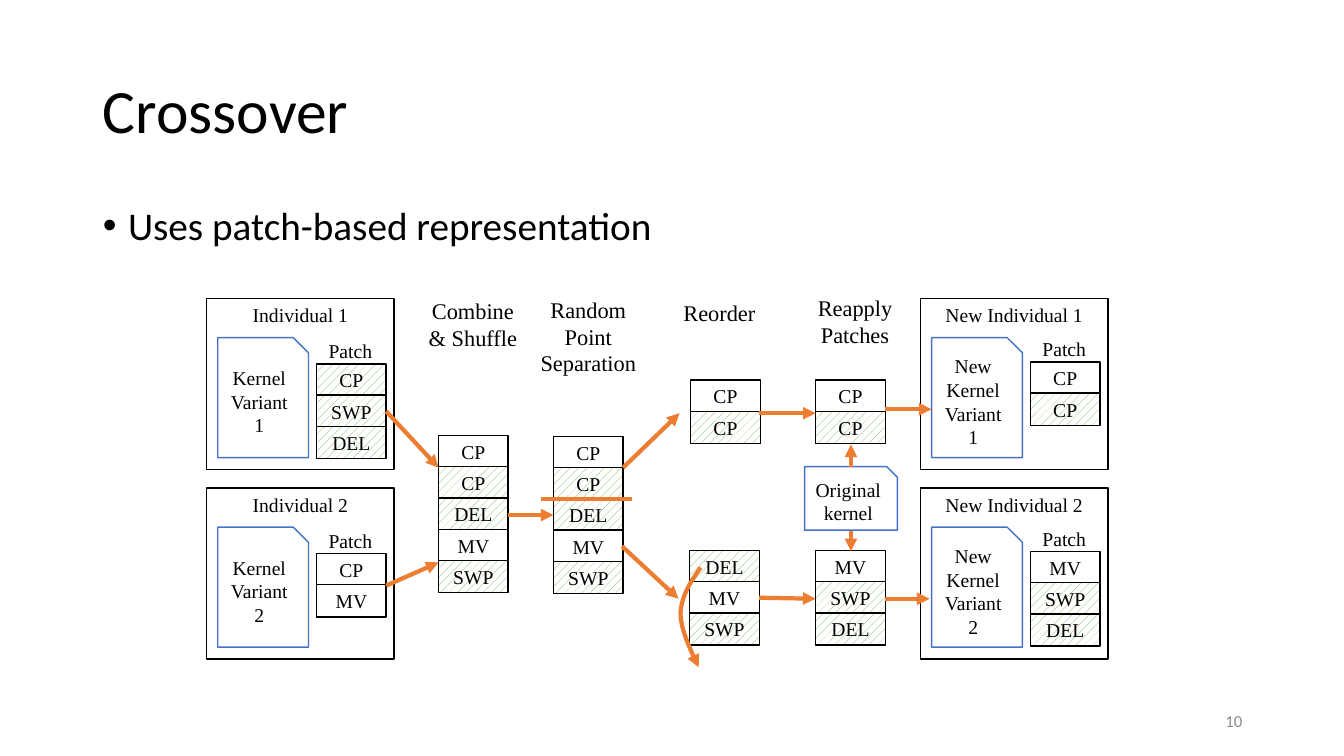
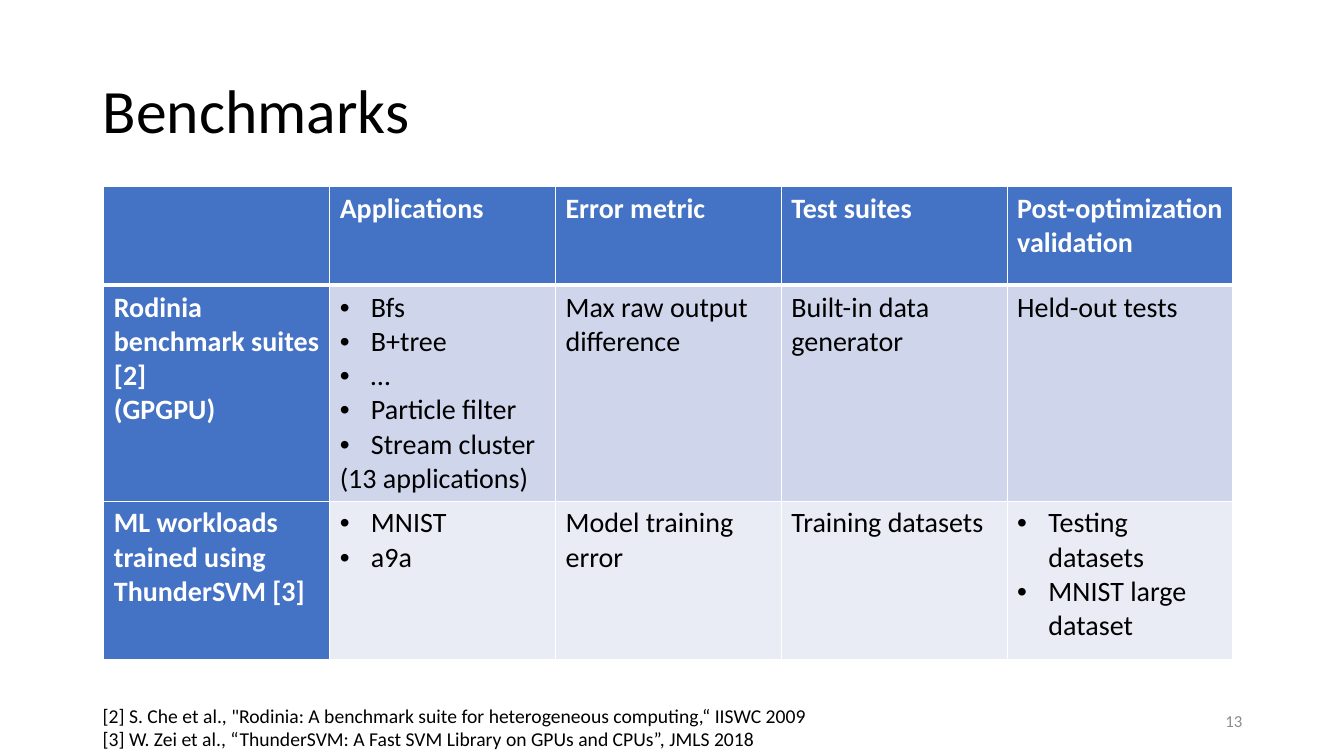
from lxml.etree import SubElement
from pptx import Presentation
from pptx.dml.color import RGBColor
from pptx.enum.dml import MSO_PATTERN
from pptx.enum.shapes import MSO_CONNECTOR, MSO_SHAPE
from pptx.enum.text import MSO_ANCHOR, MSO_AUTO_SIZE, PP_ALIGN
from pptx.oxml.ns import qn
from pptx.util import Inches, Pt

BLACK, WHITE, GRAY = "000000", "FFFFFF", "8C8C8C"
BLUE, GREEN, ORANGE = "4472C4", "70AD47", "ED7D31"
BANDS = ["CFD5EA", "E9EBF5"]
SANS, SERIF = "Calibri", "Times New Roman"
CENTER = {"alignment": PP_ALIGN.CENTER}
TITLE_ONLY, TITLE_BODY = 5, 1


def rgb(value):
    return RGBColor.from_string(value)


def style(obj, fmt):
    for name, value in fmt.items():
        setattr(obj, name, value)


def box(*lengths):
    return [Inches(v) for v in lengths]


def add_bullet(p, indent):
    pPr = p._p.get_or_add_pPr()
    pPr.set("marL", str(Inches(indent)))
    pPr.set("indent", str(-Inches(indent)))
    SubElement(pPr, qn("a:buFont"), typeface="Arial")
    SubElement(pPr, qn("a:buChar"), char="•")


def bezier(a, b, c, d, steps=12):
    for i in range(1, steps + 1):
        t = i / steps
        u = 1 - t
        yield tuple(u**3 * w + 3 * u * u * t * x + 3 * u * t * t * y + t**3 * z
                    for w, x, y, z in zip(a, b, c, d))


class Deck:
    """Holds the shared style and the slide being built."""

    def __init__(self):
        self.prs = Presentation()
        style(self.prs, {"slide_width": Inches(13.33), "slide_height": Inches(7.5)})

    def slide(self, title, number, layout):
        self.s = self.prs.slides.add_slide(self.prs.slide_layouts[layout])
        self.place(self.s.shapes.title, (0.92, 0.4, 11.5, 1.45), title, 44,
                   MSO_ANCHOR.MIDDLE, {"alignment": PP_ALIGN.LEFT, "line_spacing": 0.9})
        self.text((9.42, 6.95, 3, 0.4), [str(number)], 12, SANS, GRAY,
                  MSO_ANCHOR.MIDDLE, {"alignment": PP_ALIGN.RIGHT})

    def place(self, sp, at, text, size, anchor, para):
        style(sp, dict(zip(("left", "top", "width", "height"), box(*at))))
        self.frame(sp.text_frame, [text], size, SANS, anchor=anchor, para=para)

    def body(self, text):
        sp = self.s.placeholders[1]
        self.place(sp, (0.92, 2, 11.5, 0.84), text, 28, MSO_ANCHOR.TOP,
                   {"line_spacing": 0.9, "space_before": Pt(10)})
        add_bullet(sp.text_frame.paragraphs[0], 0.25)

    def frame(self, tf, lines, size, font, color=BLACK, anchor=MSO_ANCHOR.TOP, para={}):
        style(tf, {"word_wrap": True, "auto_size": MSO_AUTO_SIZE.NONE,
                   "vertical_anchor": anchor})
        self.paragraphs(tf, lines, size, font, color, para)

    def paragraphs(self, tf, lines, size, font, color, para={}, bold=False):
        for i, line in enumerate(lines):
            p = tf.add_paragraph() if i else tf.paragraphs[0]
            p.text = line.removeprefix("• ")
            style(p, para)
            if line.startswith("• "):
                add_bullet(p, 0.31)
            for r in p.runs:
                style(r.font, {"size": Pt(size), "name": font, "bold": bold})
                r.font.color.rgb = rgb(color)

    def text(self, at, lines, size, font=SERIF, color=BLACK,
             anchor=MSO_ANCHOR.MIDDLE, para=CENTER):
        sp = self.s.shapes.add_textbox(*box(*at))
        self.frame(sp.text_frame, lines, size, font, color, anchor, para)

    def shape(self, at, text, kind=MSO_SHAPE.RECTANGLE, line=BLACK, hatched=False,
              anchor=MSO_ANCHOR.MIDDLE):
        sp = self.s.shapes.add_shape(kind, *box(*at))
        sp.shadow.inherit = False
        if hatched:
            sp.fill.patterned()
            sp.fill.pattern = MSO_PATTERN.PERCENT_20
            sp.fill.fore_color.rgb, sp.fill.back_color.rgb = rgb(GREEN), rgb(WHITE)
        else:
            sp.fill.solid()
            sp.fill.fore_color.rgb = rgb(WHITE)
        sp.line.color.rgb = rgb(line)
        sp.line.width = Pt(1)
        self.frame(sp.text_frame, [text], 14, SERIF, anchor=anchor, para=CENTER)

    def document(self, at, text):
        self.shape(at, text, MSO_SHAPE.SNIP_1_RECTANGLE, BLUE)

    def stack(self, x, y, labels, plain=()):
        for i, label in enumerate(labels.split()):
            self.shape((x, y + i * 0.31, 0.69, 0.32), label, hatched=i not in plain)

    def individual(self, x, y, name, kernel, labels, plain, drop):
        self.shape((x, y, 1.86, 1.7), name, anchor=MSO_ANCHOR.TOP)
        self.document((x + 0.11, y + 0.39, 0.9, 1.19), kernel)
        self.text((x + 1.08, y + drop - 0.26, 0.69, 0.26), ["Patch"], 14)
        self.stack(x + 1.09, y + drop, labels, plain)

    def stroke(self, sp, head):
        sp.line.color.rgb = rgb(ORANGE)
        sp.line.width = Pt(3)
        if head:
            SubElement(sp._element.spPr.find(qn("a:ln")), qn("a:tailEnd"), type="triangle")

    def line(self, ends, head=True):
        c = self.s.shapes.add_connector(MSO_CONNECTOR.STRAIGHT, *box(*ends))
        self.stroke(c, head)
        SubElement(c._element.spPr, qn("a:effectLst"))

    def curve(self, start, *parts):
        points = [start]
        for part in parts:
            points += bezier(points[-1], *part)
        first, *rest = [tuple(box(*pt)) for pt in points]
        builder = self.s.shapes.build_freeform(*first)
        builder.add_line_segments(rest, close=False)
        sp = builder.convert_to_shape()
        sp.fill.background()
        sp.shadow.inherit = False
        self.stroke(sp, True)

    def cell(self, cell, text, fill, color, bold, bottom):
        tcPr = cell._tc.get_or_add_tcPr()
        for side, width in (("L", 1), ("R", 1), ("T", 1), ("B", bottom)):
            ln = SubElement(tcPr, qn("a:ln" + side), w=str(Pt(width)))
            SubElement(SubElement(ln, qn("a:solidFill")), qn("a:srgbClr"), val=WHITE)
        cell.fill.solid()
        cell.fill.fore_color.rgb = rgb(fill)
        cell.margin_right = Inches(0.08)
        lines = [text] if isinstance(text, str) else text
        self.paragraphs(cell.text_frame, lines, 20, SANS, color, bold=bold)

    def table(self, at, rows, heights):
        tbl = self.s.shapes.add_table(len(rows), len(rows[0]), *box(*at)).table
        tbl.horz_banding = False
        for i, (row, height) in enumerate(zip(rows, heights)):
            tbl.rows[i].height = Inches(height)
            for j, text in enumerate(row):
                header = i == 0 or j == 0
                self.cell(tbl.cell(i, j), text, BLUE if header else BANDS[i - 1],
                          WHITE if header else BLACK, header, 1 if i else 3)


def crossover(deck):
    deck.slide("Crossover", 10, TITLE_BODY)
    deck.body("Uses patch-based representation")
    top, bottom, old, new = 2.96, 4.84, 2.05, 9.13
    for x, y, name, kernel, labels, plain, drop in (
        (old, top, "Individual 1", "Kernel Variant 1", "CP SWP DEL", (), 0.65),
        (old, bottom, "Individual 2", "Kernel Variant 2", "CP MV", (0, 1), 0.65),
        (new, top, "New Individual 1", "New Kernel Variant 1", "CP CP", (0,), 0.63),
        (new, bottom, "New Individual 2", "New Kernel Variant 2", "MV SWP DEL", (0,), 0.63),
    ):
        deck.individual(x, y, name, kernel, labels, plain, drop)
    for x, width, height, lines in (
        (4.13, 1.12, 0.49, ["Combine & Shuffle"]),
        (5.23, 1.21, 0.73, ["Random Point Separation"]),
        (6.53, 1.21, 0.27, ["Reorder"]),
        (7.92, 1.12, 0.43, ["Reapply", "Patches"]),
    ):
        deck.text((x, 2.97, width, height), lines, 16)
    for x, y, labels, plain in (
        (4.35, 4.32, "CP CP DEL MV SWP", (0, 3)),
        (5.49, 4.33, "CP CP DEL MV SWP", (0, 3)),
        (6.85, 3.77, "CP CP", (0,)),
        (6.84, 5.46, "DEL MV SWP", (1,)),
        (8.09, 3.77, "CP CP", (0,)),
        (8.09, 5.46, "MV SWP DEL", (0,)),
    ):
        deck.stack(x, y, labels, plain)
    deck.document((7.98, 4.63, 0.92, 0.63), "Original kernel")
    for ends in (
        (3.83, 4.08, 4.35, 4.64), (3.83, 5.81, 4.35, 5.58), (5.04, 5.11, 5.49, 5.11),
        (6.18, 4.64, 6.74, 4.1), (6.17, 5.42, 6.73, 5.94),
        (7.53, 4.1, 8.09, 4.1), (7.53, 5.93, 8.09, 5.94),
        (8.44, 4.63, 8.44, 4.41), (8.44, 5.27, 8.44, 5.47),
        (8.78, 4.06, 9.24, 4.06), (8.78, 5.94, 9.22, 5.94),
    ):
        deck.line(ends)
    deck.line((5.37, 4.95, 6.27, 4.95), head=False)
    deck.curve((6.95, 5.63), ((6.85, 5.77), (6.76, 5.91), (6.75, 6.08)),
               ((6.75, 6.24), (6.84, 6.43), (6.93, 6.62)))


def benchmarks(deck):
    deck.slide("Benchmarks", 13, TITLE_ONLY)
    deck.table((1.03, 1.85, 11.2, 4.13), [
        ["", "Applications", "Error metric", "Test suites", "Post-optimization validation"],
        ["Rodinia benchmark suites [2]\n(GPGPU)",
         ["• Bfs", "• B+tree", "• …", "• Particle filter", "• Stream cluster",
          "(13 applications)"],
         "Max raw output difference", "Built-in data generator", "Held-out tests"],
        ["ML workloads trained using ThunderSVM [3]", ["• MNIST", "• a9a"],
         "Model training error", "Training datasets",
         ["• Testing datasets", "• MNIST large dataset"]],
    ], [0.98, 1.58, 1.57])
    deck.text((0.92, 6.93, 10.66, 0.57), [
        '[2] S. Che et al., "Rodinia: A benchmark suite for heterogeneous computing,“ IISWC 2009',
        "[3] W. Zei et al., “ThunderSVM: A Fast SVM Library on GPUs and CPUs”, JMLS 2018",
    ], 14, SANS, anchor=MSO_ANCHOR.TOP, para={})


def main():
    deck = Deck()
    crossover(deck)
    benchmarks(deck)
    deck.prs.save("out.pptx")


if __name__ == "__main__":
    main()
